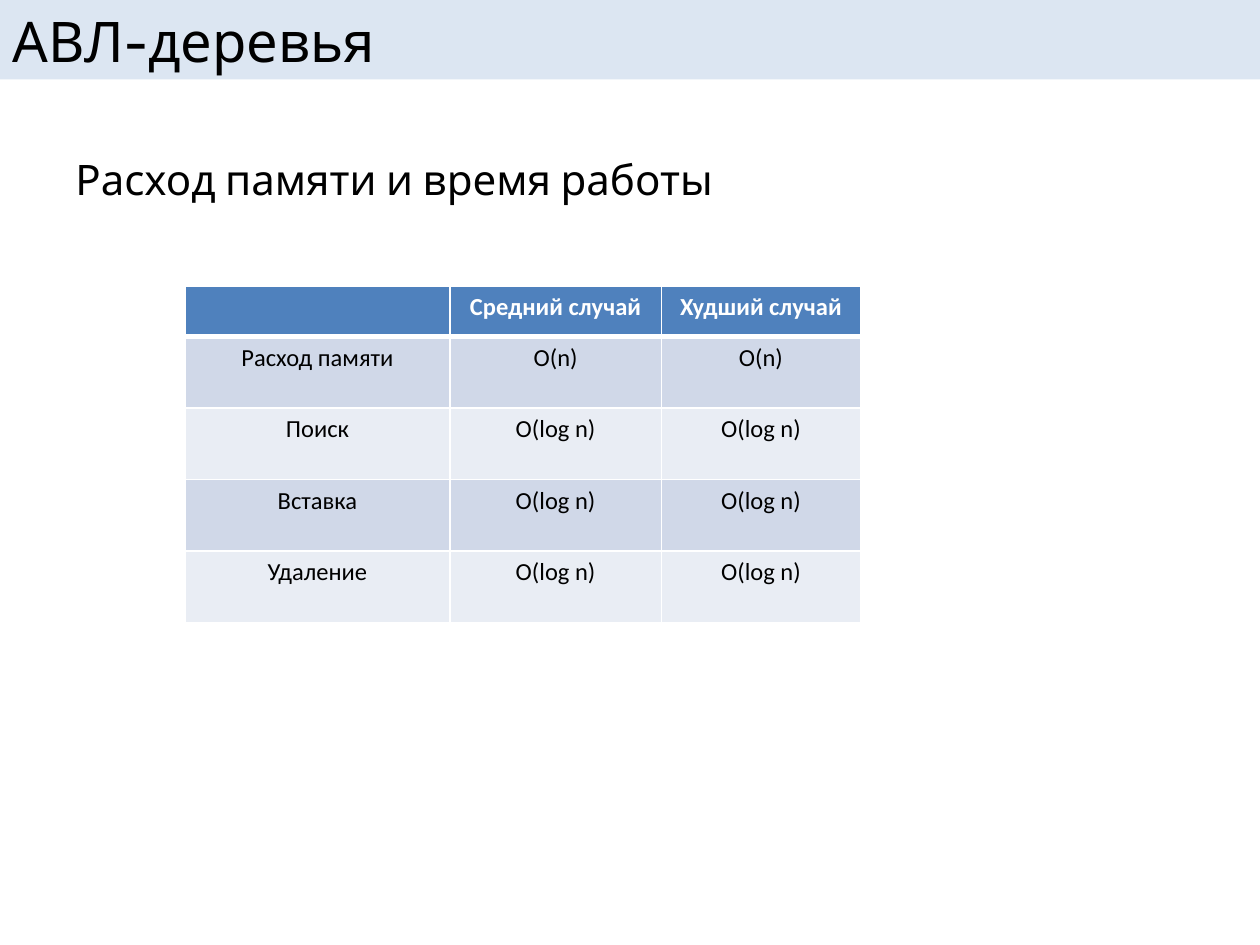
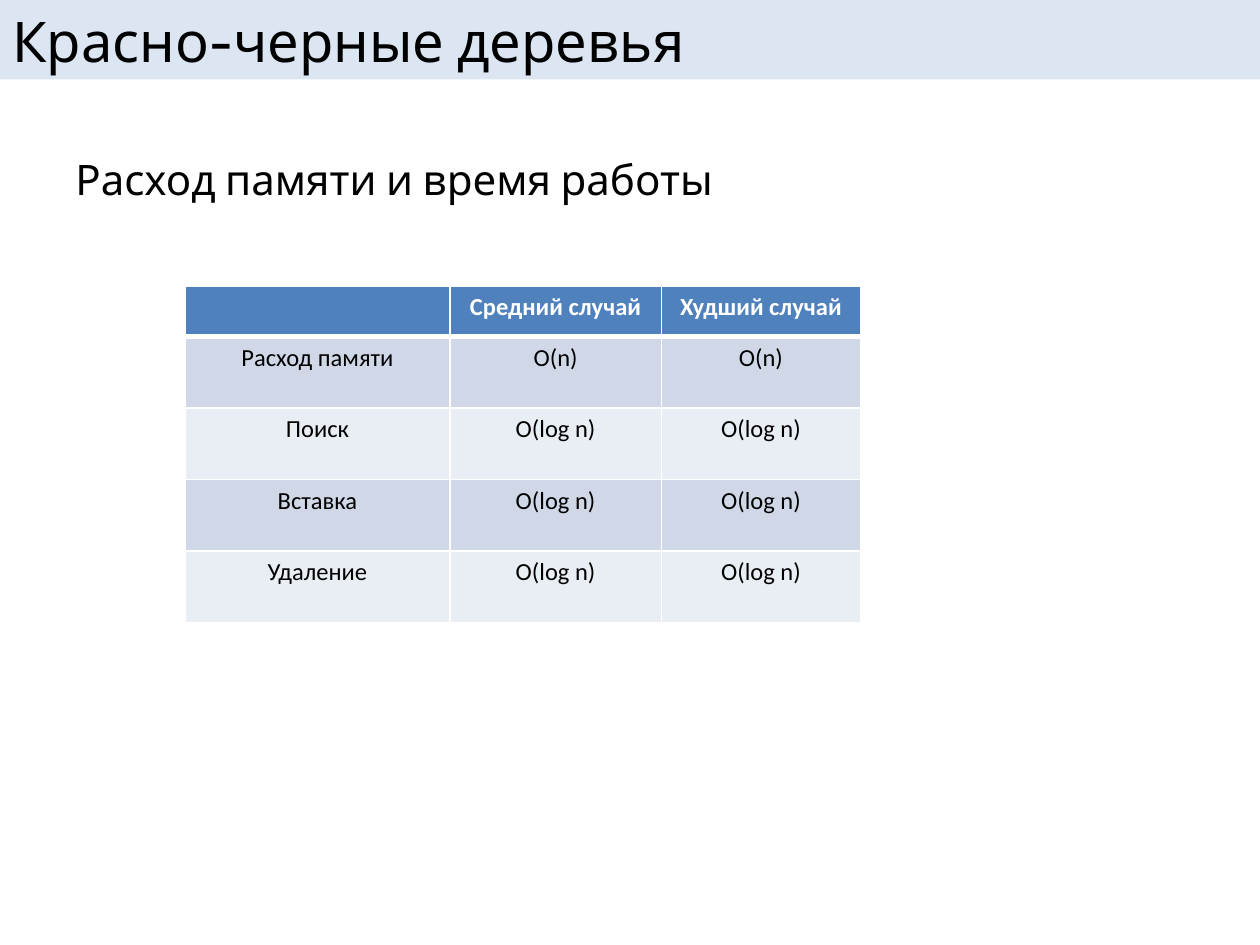
from pptx import Presentation
from pptx.dml.color import RGBColor
from pptx.enum.shapes import MSO_SHAPE
from pptx.enum.text import MSO_ANCHOR, PP_ALIGN
from pptx.oxml.ns import qn
from pptx.util import Pt
from lxml.etree import SubElement

COLORS = {
    "band": "DCE6F2",
    "header": "4F81BD",
    "odd": "D0D8E8",
    "even": "E9EDF4",
    "line": "FFFFFF",
    "light": "FFFFFF",
    "dark": "000000",
}
FORMATS = {
    "title": {"name": "Cabin", "size": Pt(32), "color": "dark"},
    "subtitle": {"name": "Cabin", "size": Pt(24), "color": "dark"},
    "header": {"name": "Calibri", "size": Pt(14), "bold": True, "color": "light"},
    "cell": {"name": "Calibri", "size": Pt(14), "bold": False, "color": "dark"},
}
PAGE_SIZE = (720, 540)
TITLE_BOX = (0, 0, 720, 45.36)
SUBTITLE_BOX = (36, 84.24, 648, 398.16)
TABLE_BOX = (105.84, 163.44, 385.92, 192.24)
COLUMN_WIDTHS = (151.2, 120.96, 113.76)
HEADER_HEIGHT = 28.8

SUBTITLE = "Расход памяти и время работы"
TITLES = ("АВЛ-деревья", "Красно-черные деревья")
COSTS = (
    ("", "Средний случай", "Худший случай"),
    ("Расход памяти", "O(n)", "O(n)"),
    ("Поиск", "O(log n)", "O(log n)"),
    ("Вставка", "O(log n)", "O(log n)"),
    ("Удаление", "O(log n)", "O(log n)"),
)


def paint(fill, color):
    fill.solid()
    fill.fore_color.rgb = RGBColor.from_string(COLORS[color])


def write(frame, text, style, alignment=PP_ALIGN.LEFT):
    paragraph = frame.paragraphs[0]
    paragraph.alignment = alignment
    span = paragraph.add_run()
    span.text = text
    for name, value in FORMATS[style].items():
        if name == "color":
            span.font.color.rgb = RGBColor.from_string(COLORS[value])
        else:
            setattr(span.font, name, value)


def add_title(page, box, text):
    band = page.shapes.add_shape(MSO_SHAPE.RECTANGLE, *map(Pt, box))
    band.shadow.inherit = False
    band.line.fill.background()
    paint(band.fill, "band")
    frame = band.text_frame
    frame.word_wrap = True
    frame.vertical_anchor = MSO_ANCHOR.MIDDLE
    write(frame, text, "title")


def add_subtitle(page, box, text):
    frame = page.shapes.add_textbox(*map(Pt, box)).text_frame
    frame.word_wrap = True
    write(frame, text, "subtitle")


def add_borders(cell, widths):
    properties = cell._tc.get_or_add_tcPr()
    for side, width in widths.items():
        line = SubElement(properties, qn(f"a:ln{side}"), w=str(Pt(width)))
        solid = SubElement(line, qn("a:solidFill"))
        SubElement(solid, qn("a:srgbClr"), val=COLORS["line"])


def add_cost_table(page, box, rows):
    table = page.shapes.add_table(len(rows), len(rows[0]), *map(Pt, box)).table
    for column, width in zip(table.columns, COLUMN_WIDTHS):
        column.width = Pt(width)
    body_height = (box[3] - HEADER_HEIGHT) / (len(rows) - 1)
    for index, values in enumerate(rows):
        is_header = index == 0
        table.rows[index].height = Pt(HEADER_HEIGHT if is_header else body_height)
        color = "header" if is_header else ("even", "odd")[index % 2]
        widths = {"L": 1, "R": 1, "T": 3 if index == 1 else 1, "B": 3 if is_header else 1}
        for position, text in enumerate(values):
            cell = table.cell(index, position)
            add_borders(cell, widths)
            paint(cell.fill, color)
            write(cell.text_frame, text, "header" if is_header else "cell", PP_ALIGN.CENTER)


def add_cost_page(deck, title):
    page = deck.slides.add_slide(deck.slide_layouts[6])
    add_title(page, TITLE_BOX, title)
    add_subtitle(page, SUBTITLE_BOX, SUBTITLE)
    add_cost_table(page, TABLE_BOX, COSTS)


def main():
    deck = Presentation()
    deck.slide_width, deck.slide_height = map(Pt, PAGE_SIZE)
    for title in TITLES:
        add_cost_page(deck, title)
    deck.save("out.pptx")


if __name__ == "__main__":
    main()
